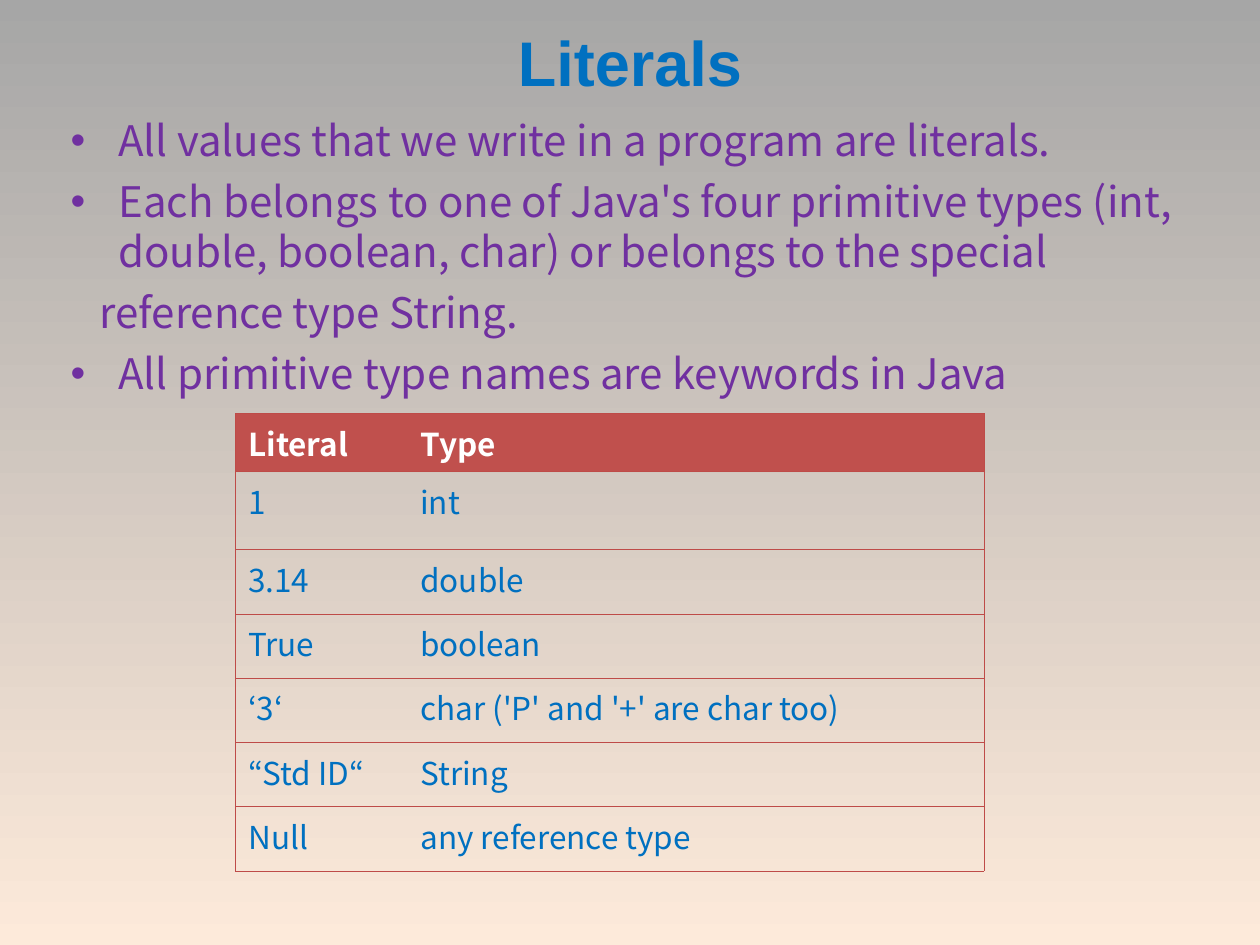
from lxml.etree import SubElement
from pptx import Presentation
from pptx.dml.color import RGBColor
from pptx.enum.text import MSO_ANCHOR, MSO_AUTO_SIZE, PP_ALIGN
from pptx.oxml.ns import qn
from pptx.util import Inches, Pt

GREY = RGBColor(0xA6, 0xA6, 0xA6)
PEACH = RGBColor(0xFD, 0xEA, 0xDA)
BLUE = RGBColor(0x00, 0x70, 0xC0)
PURPLE = RGBColor(0x70, 0x30, 0xA0)
RED = RGBColor(0xC0, 0x50, 0x4D)
BORDER = RGBColor(0xBE, 0x4B, 0x48)
WHITE = RGBColor(0xFF, 0xFF, 0xFF)
BODY_FONT = "Noto Sans CJK KR"
PLAIN_TABLE = "{2D5ABB26-0587-4C30-8999-92F81FD0307C}"

# Each point is its text and whether it carries a bullet
POINTS = [
    ("All values that we write in a program are literals.", True),
    ("Each belongs to one of Java's four primitive types (int, double, "
     "boolean, char) or belongs to the special", True),
    ("reference type String.", False),
    ("All primitive type names are keywords in Java", True),
]
LITERALS = [
    ("Literal", "Type"),
    ("1", "int"),
    ("3.14", "double"),
    ("True", "boolean"),
    ("‘3‘", "char ('P' and '+' are char too)"),
    ("“Std ID“", "String"),
    ("Null", "any reference type"),
]
COLUMN_SHARES = (0.23, 0.77)
ROW_HEIGHTS = [0.43, 0.62] + [0.51] * 5


def write(paragraph, text, *, size, color, font=BODY_FONT, bold=False, align=PP_ALIGN.LEFT):
    paragraph.alignment = align
    run = paragraph.add_run()
    run.text = text
    run.font.name = font
    run.font.size = Pt(size)
    run.font.bold = bold
    run.font.color.rgb = color


def place(shape, box):
    shape.left, shape.top, shape.width, shape.height = (Inches(v) for v in box)


def add_color(parent, color):
    fill = SubElement(parent, qn("a:solidFill"))
    SubElement(fill, qn("a:srgbClr"), val=str(color))


def set_bullet(paragraph, bulleted):
    properties = paragraph._p.get_or_add_pPr()
    margin, hang = (0.38, -0.38) if bulleted else (0.23, 0)
    properties.set("marL", str(Inches(margin)))
    properties.set("indent", str(Inches(hang)))
    if bulleted:
        color = SubElement(properties, qn("a:buClr"))
        SubElement(color, qn("a:srgbClr"), val=str(PURPLE))
        SubElement(properties, qn("a:buChar"), char="•")
    else:
        SubElement(properties, qn("a:buNone"))


def set_borders(cell, sides):
    properties = cell._tc.get_or_add_tcPr()
    for side in sides:
        line = SubElement(properties, qn(f"a:ln{side}"), w=str(Pt(0.34)))
        add_color(line, BORDER)


def fill_background(slide):
    fill = slide.background.fill
    fill.gradient()
    fill.gradient_angle = 270
    for stop, color in zip(fill.gradient_stops, (GREY, PEACH)):
        stop.color.rgb = color


def fill_title(slide, box):
    title = slide.shapes.title
    place(title, box)
    frame = title.text_frame
    frame.auto_size = MSO_AUTO_SIZE.NONE
    frame.vertical_anchor = MSO_ANCHOR.TOP
    write(frame.paragraphs[0], "Literals", size=36, color=BLUE, font="Arial",
          bold=True, align=PP_ALIGN.CENTER)


def fill_points(slide, box):
    body = slide.placeholders[1]
    place(body, box)
    frame = body.text_frame
    frame.auto_size = MSO_AUTO_SIZE.NONE
    for index, (text, bulleted) in enumerate(POINTS):
        paragraph = frame.add_paragraph() if index else frame.paragraphs[0]
        set_bullet(paragraph, bulleted)
        paragraph.space_before = Pt(6 if index else 0)
        write(paragraph, text, size=24, color=PURPLE)


def add_literal_table(slide, box):
    frame = slide.shapes.add_table(len(LITERALS), len(COLUMN_SHARES),
                                   *(Inches(v) for v in box))
    table = frame.table
    table.horz_banding = False
    table._tbl.tblPr.find(qn("a:tableStyleId")).text = PLAIN_TABLE
    for column, share in zip(table.columns, COLUMN_SHARES):
        column.width = Inches(box[2] * share)
    for row, height in zip(table.rows, ROW_HEIGHTS):
        row.height = Inches(height)
    for r, entries in enumerate(LITERALS):
        header = r == 0
        for c, text in enumerate(entries):
            cell = table.cell(r, c)
            # Outer frame and row rules only, no rule between the columns
            set_borders(cell, "RTB" if c else "LTB")
            if header:
                cell.fill.solid()
                cell.fill.fore_color.rgb = RED
            else:
                cell.fill.background()
            write(cell.text_frame.paragraphs[0], text, size=18,
                  color=WHITE if header else BLUE, bold=header)


def main():
    deck = Presentation()
    deck.slide_width, deck.slide_height = Inches(10), Inches(7.5)
    slide = deck.slides.add_slide(deck.slide_layouts[1])
    fill_background(slide)
    fill_title(slide, (0.5, 0.14, 9, 0.95))
    fill_points(slide, (0.46, 0.86, 9, 2.58))
    add_literal_table(slide, (1.87, 3.28, 5.94, sum(ROW_HEIGHTS)))
    deck.save("out.pptx")


if __name__ == "__main__":
    main()
